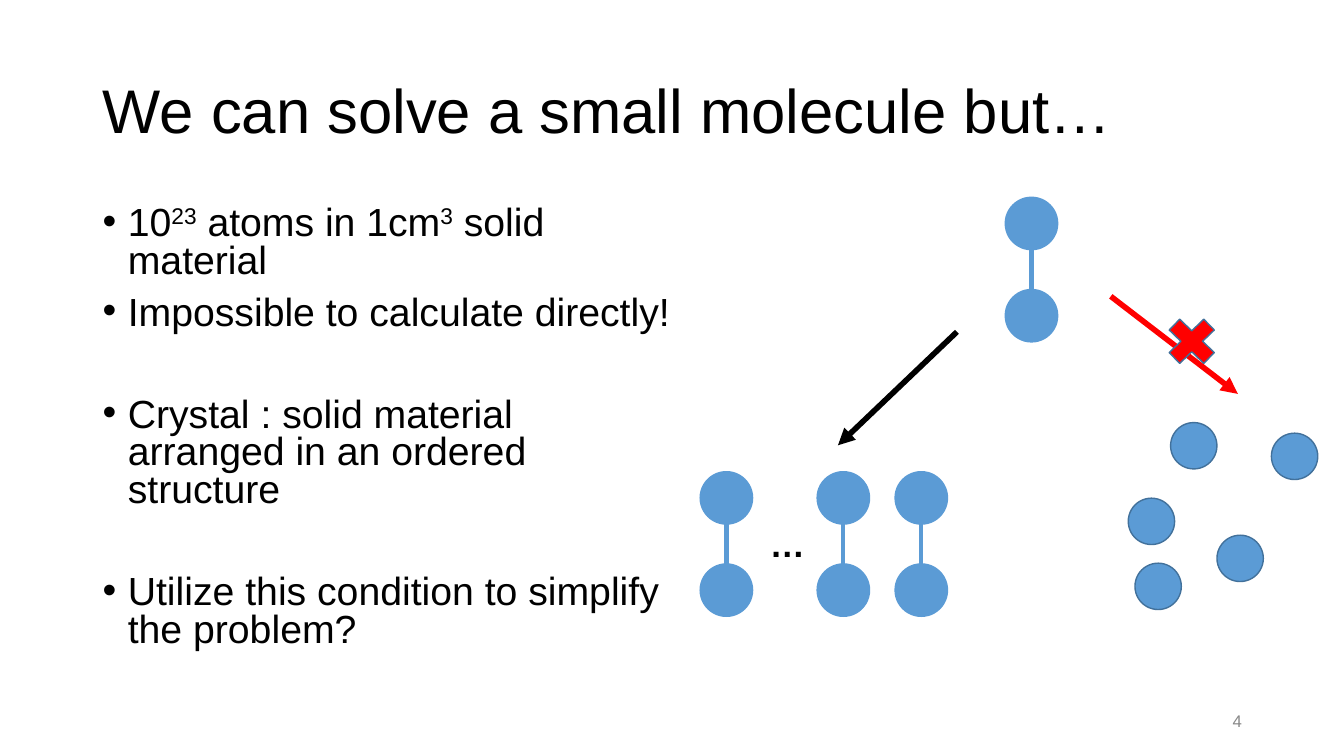
import pptx
import pptx.util
import pptx.dml.color
import pptx.enum.shapes
import pptx.enum.text
import pptx.oxml.ns
import lxml.etree

WIDE = pptx.util.Inches(13.33)
HIGH = pptx.util.Inches(7.5)
HUES = {"ink": "000000", "grey": "888888", "blue": "5B9BD5", "edge": "42719B", "red": "FF0000"}
KIND = pptx.enum.shapes.MSO_SHAPE
LINE = pptx.enum.shapes.MSO_CONNECTOR.STRAIGHT
LEFT = pptx.enum.text.PP_ALIGN.LEFT
RIGHT = pptx.enum.text.PP_ALIGN.RIGHT
TOP = pptx.enum.text.MSO_ANCHOR.TOP
MID = pptx.enum.text.MSO_ANCHOR.MIDDLE

BALL = 3.9
ATOM = 3.45
BOND = 12.2
PAIRS = [(74.8, 26.1), (60.8, 62.4), (66.6, 62.4), (52.1, 62.4)]
ATOMS = [(83.95, 65.9), (87.1, 55.9), (84.45, 74.5), (90.55, 70.8), (94.6, 57.3)]
POINTS = [
    (["10", "23", " atoms in 1cm", "3", " solid material"], 0),
    (["Impossible to calculate directly!"], 10),
    (["Crystal : solid material arranged in an ordered structure"], 46),
    (["Utilize this condition to simplify the problem?"], 46),
]


def across(share):
    return round(WIDE * share / 100)


def down(share):
    return round(HIGH * share / 100)


def hue(name):
    return pptx.dml.color.RGBColor.from_string(HUES[name])


def add_tag(root, tag, **attrs):
    return lxml.etree.SubElement(root, pptx.oxml.ns.qn(tag), attrs)


def bullet(para):
    props = para._p.get_or_add_pPr()
    indent = pptx.util.Inches(0.25)
    props.set("marL", str(indent))
    props.set("indent", str(-indent))
    add_tag(add_tag(props, "a:buClr"), "a:srgbClr", val=HUES["ink"])
    add_tag(props, "a:buFont", typeface="Arial")
    add_tag(props, "a:buChar", char="•")


def write(slide, paras, spot, size, color="ink", bold=False, align=LEFT,
          anchor=TOP, lead=1.0, dots=False):
    x, y, w, h = spot
    frame = slide.shapes.add_textbox(across(x), down(y), across(w), down(h)).text_frame
    frame.word_wrap = True
    frame.vertical_anchor = anchor
    for i, (parts, gap) in enumerate(paras):
        para = frame.add_paragraph() if i else frame.paragraphs[0]
        para.alignment = align
        para.line_spacing = lead
        para.space_before = pptx.util.Pt(gap)
        if dots:
            bullet(para)
        for j, part in enumerate(parts):
            run = para.add_run()
            run.text = part
            run.font.name = "Arial"
            run.font.size = pptx.util.Pt(size)
            run.font.bold = bold
            run.font.color.rgb = hue(color)
            if j % 2:
                run._r.get_or_add_rPr().set("baseline", "30000")


def add_form(shapes, kind, x, y, w, h, fill, edge):
    form = shapes.add_shape(kind, across(x), down(y), w, h)
    form.shadow.inherit = False
    form.fill.solid()
    form.fill.fore_color.rgb = hue(fill)
    form.line.color.rgb = hue(edge)
    form.line.width = pptx.util.Pt(1)
    return form


def disc(shapes, x, y, size, edge):
    side = across(size)
    return add_form(shapes, KIND.OVAL, x, y, side, side, "blue", edge)


def link(shapes, start, end, color, width, head=False):
    line = shapes.add_connector(LINE, *start, *end)
    line.line.color.rgb = hue(color)
    line.line.width = pptx.util.Pt(width)
    if head:
        add_tag(line.line._get_or_add_ln(), "a:tailEnd", type="triangle")
    add_tag(line._element.spPr, "a:effectLst")
    return line


def pair(slide, x, y):
    shapes = slide.shapes.add_group_shape().shapes
    upper = disc(shapes, x, y, BALL, "blue")
    lower = disc(shapes, x, y + BOND, BALL, "blue")
    mid = upper.left + upper.width // 2
    bond = link(shapes, (mid, upper.top + upper.height), (mid, lower.top), "blue", 3)
    bond.end_connect(lower, 0)


def arrow(slide, x1, y1, x2, y2, color):
    link(slide.shapes, (across(x1), down(y1)), (across(x2), down(y2)), color, 4, head=True)


def main():
    deck = pptx.Presentation()
    deck.slide_width, deck.slide_height = WIDE, HIGH
    slide = deck.slides.add_slide(deck.slide_layouts[6])
    write(slide, [(["We can solve a small molecule but…"], 0)],
          (6.9, 5.33, 86.25, 19.33), 44, anchor=MID, lead=0.9)
    write(slide, POINTS, (6.9, 26.67, 43.95, 63.5), 28, lead=0.8, dots=True)
    write(slide, [(["4"], 0)], (70.65, 92.67, 22.5, 5.33), 12,
          color="grey", align=RIGHT, anchor=MID)
    for x, y in PAIRS:
        pair(slide, x, y)
    for x, y in ATOMS:
        disc(slide.shapes, x, y, ATOM, "edge")
    write(slide, [(["…"], 0)], (56.55, 68.4, 3.3, 6.9), 25, bold=True)
    arrow(slide, 71.2, 43.9, 62.35, 58.9, "ink")
    arrow(slide, 82.65, 39.2, 92.1, 52.1, "red")
    cross = add_form(slide.shapes, KIND.MATH_MULTIPLY, 86.2, 40.9,
                     across(4.95), down(8.5), "red", "edge")
    cross.adjustments[0] = 0.235
    deck.save("out.pptx")


if __name__ == "__main__":
    main()
